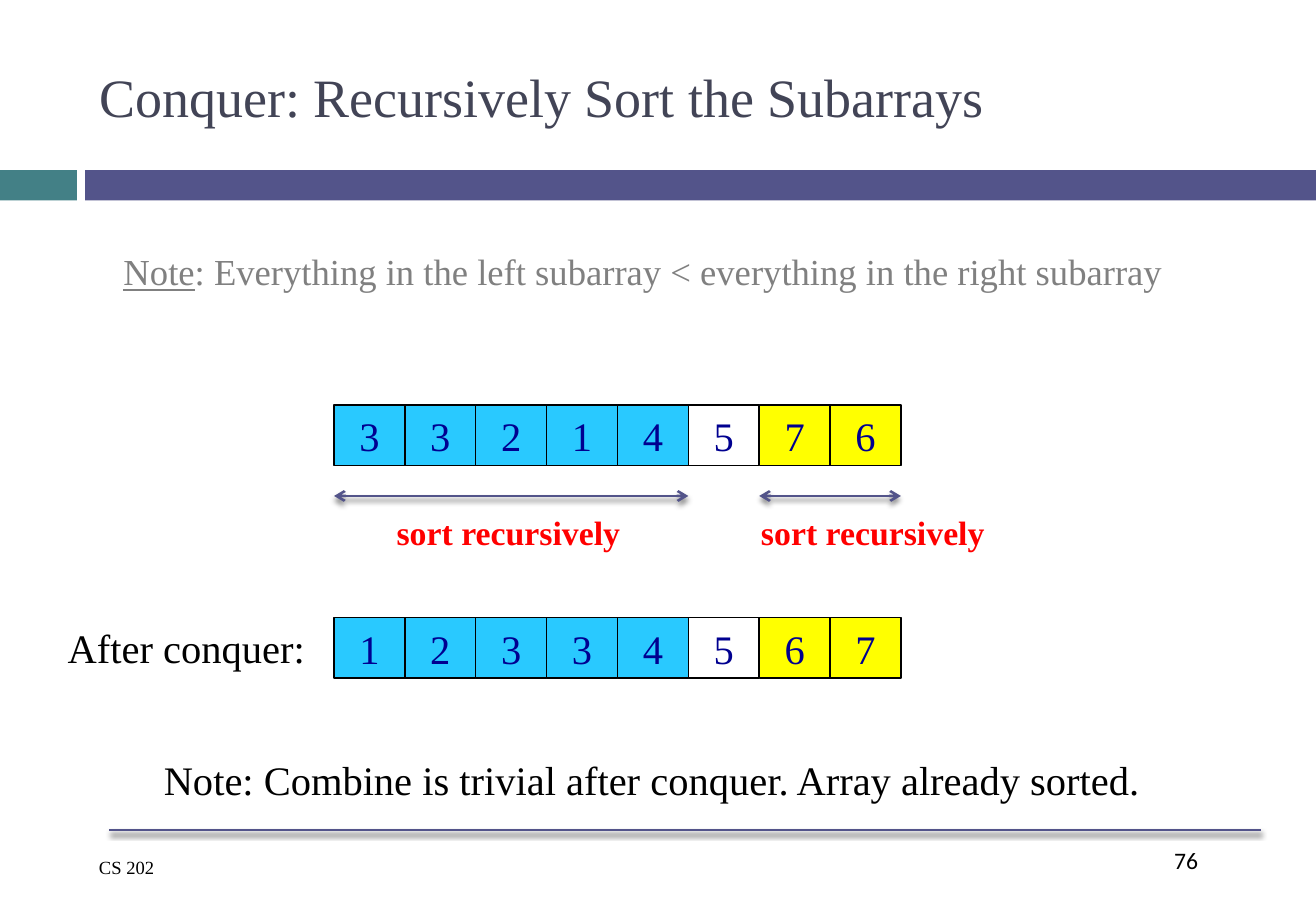
from dataclasses import dataclass

from lxml import etree
from pptx import Presentation
from pptx.dml.color import RGBColor
from pptx.enum.shapes import MSO_CONNECTOR, MSO_SHAPE
from pptx.enum.text import MSO_ANCHOR, MSO_AUTO_SIZE, PP_ALIGN
from pptx.oxml.ns import qn
from pptx.util import Emu, Pt

PX = 7620
STRAIGHT = MSO_CONNECTOR.STRAIGHT
RECTANGLE = MSO_SHAPE.RECTANGLE
MIDDLE = MSO_ANCHOR.MIDDLE
TOP = MSO_ANCHOR.TOP
NO_FIT = MSO_AUTO_SIZE.NONE
LEFT = PP_ALIGN.LEFT
CENTER = PP_ALIGN.CENTER


@dataclass(frozen=True)
class Theme:
    serif: str = "Times New Roman"
    sans: str = "Calibri"
    teal: str = "438086"
    indigo: str = "53548A"
    title: str = "424456"
    muted: str = "808080"
    black: str = "000000"
    digit: str = "000090"
    accent: str = "FF0000"
    left_part: str = "29C9FF"
    right_part: str = "FFFF00"
    title_size: float = 32
    body_size: float = 21.7
    main_size: float = 24
    label_size: float = 20
    number_size: float = 14
    footer_size: float = 11
    cell_line: float = 0.79
    rule_line: float = 1.5


THEME = Theme()
ARRAY_LEFT, CELL_WIDTH, CELL_HEIGHT = 330, 70, 60
PIVOT = 5


def px(*lengths):
    return [Emu(length * PX) for length in lengths]


def style(para, size, color, font=THEME.serif, bold=False, align=LEFT):
    para.alignment = align
    for span in para.runs:
        span.font.name = font
        span.font.size = Pt(size)
        span.font.bold = bold
        span.font.color.rgb = RGBColor.from_string(color)


def add_rectangle(page, place, fill=None):
    box = page.shapes.add_shape(RECTANGLE, *px(*place))
    box.shadow.inherit = False
    box.line.fill.background()
    if fill:
        box.fill.solid()
        box.fill.fore_color.rgb = RGBColor.from_string(fill)
    else:
        box.fill.background()
    return box


def add_text(page, place, text, size, color=THEME.black, wrap=False, **look):
    box = page.shapes.add_textbox(*px(*place))
    frame = box.text_frame
    frame.word_wrap = wrap
    frame.text = text
    style(frame.paragraphs[0], size, color, **look)


def add_rule(page, left, right, top, arrows=False):
    rule = page.shapes.add_connector(STRAIGHT, *px(left, top, right, top))
    rule.line.color.rgb = RGBColor.from_string(THEME.indigo)
    rule.line.width = Pt(THEME.rule_line)
    properties = rule._element.spPr
    if arrows:
        for end in ("a:headEnd", "a:tailEnd"):
            etree.SubElement(properties.find(qn("a:ln")), qn(end), type="arrow")
    effects = etree.SubElement(properties, qn("a:effectLst"))
    shadow = etree.SubElement(
        effects, qn("a:outerShdw"), blurRad=str(Pt(3)), dist=str(Pt(2.4)),
        dir="5400000", algn="ctr", rotWithShape="0")
    black = etree.SubElement(shadow, qn("a:srgbClr"), val=THEME.black)
    etree.SubElement(black, qn("a:alpha"), val="45000")


def add_array(page, top, values):
    for index, value in enumerate(values):
        fill = THEME.left_part if index < PIVOT else THEME.right_part
        place = (ARRAY_LEFT + index * CELL_WIDTH, top, CELL_WIDTH, CELL_HEIGHT)
        cell = add_rectangle(page, place, None if index == PIVOT else fill)
        cell.line.color.rgb = RGBColor.from_string(THEME.black)
        cell.line.width = Pt(THEME.cell_line)
        frame = cell.text_frame
        frame.vertical_anchor = MIDDLE
        frame.text = str(value)
        style(frame.paragraphs[0], THEME.main_size, THEME.digit, align=CENTER)


def add_sort_span(page, first, count, label_left):
    left = ARRAY_LEFT + first * CELL_WIDTH
    add_rule(page, left, left + count * CELL_WIDTH, 490, arrows=True)
    add_text(page, (label_left, 500, 247, 53), "sort recursively",
             THEME.label_size, THEME.accent, bold=True)


def fill_placeholder(holder, place, anchor):
    holder.left, holder.top, holder.width, holder.height = px(*place)
    frame = holder.text_frame
    frame.word_wrap = True
    frame.auto_size = NO_FIT
    frame.vertical_anchor = anchor
    return frame


def add_title(page, text):
    frame = fill_placeholder(page.shapes.title, (86, 30, 1159, 130), MIDDLE)
    frame.text = text
    style(frame.paragraphs[0], THEME.title_size, THEME.title)


def add_body(page, lead, rest):
    frame = fill_placeholder(page.placeholders[1], (110, 240, 1070, 80), TOP)
    para = frame.paragraphs[0]
    for text in (lead, rest):
        para.add_run().text = text
    style(para, THEME.body_size, THEME.muted)
    para.runs[0].font.underline = True
    para.space_before = Pt(3)
    properties = para._p.get_or_add_pPr()
    properties.set("marL", "0")
    properties.set("indent", "0")
    etree.SubElement(properties, qn("a:buNone"))


def add_frame(page):
    add_rectangle(page, (0, 168, 76, 30), THEME.teal)
    add_rectangle(page, (84, 168, 1216, 30), THEME.indigo)
    add_text(page, (1148, 830, 97, 60), "76", THEME.number_size,
             wrap=True, font=THEME.sans)
    add_rule(page, 108, 1246, 820)
    add_text(page, (86, 840, 239, 35), "CS 202", THEME.footer_size, wrap=True)


def main():
    deck = Presentation()
    deck.slide_width, deck.slide_height = px(1300, 900)
    page = deck.slides.add_slide(deck.slide_layouts[1])
    add_frame(page)
    add_title(page, "Conquer: Recursively Sort the Subarrays")
    add_body(page, "Note",
             ": Everything in the left subarray < everything in the right subarray")
    add_array(page, 400, (3, 3, 2, 1, 4, 5, 7, 6))
    add_sort_span(page, 0, PIVOT, 380)
    add_sort_span(page, PIVOT + 1, 2, 740)
    add_array(page, 610, (1, 2, 3, 3, 4, 5, 6, 7))
    add_text(page, (55, 610, 263, 60), "After conquer:", THEME.main_size)
    add_text(page, (150, 740, 1001, 60),
             "Note: Combine is trivial after conquer. Array already sorted.",
             THEME.main_size)
    deck.save("out.pptx")


if __name__ == "__main__":
    main()
